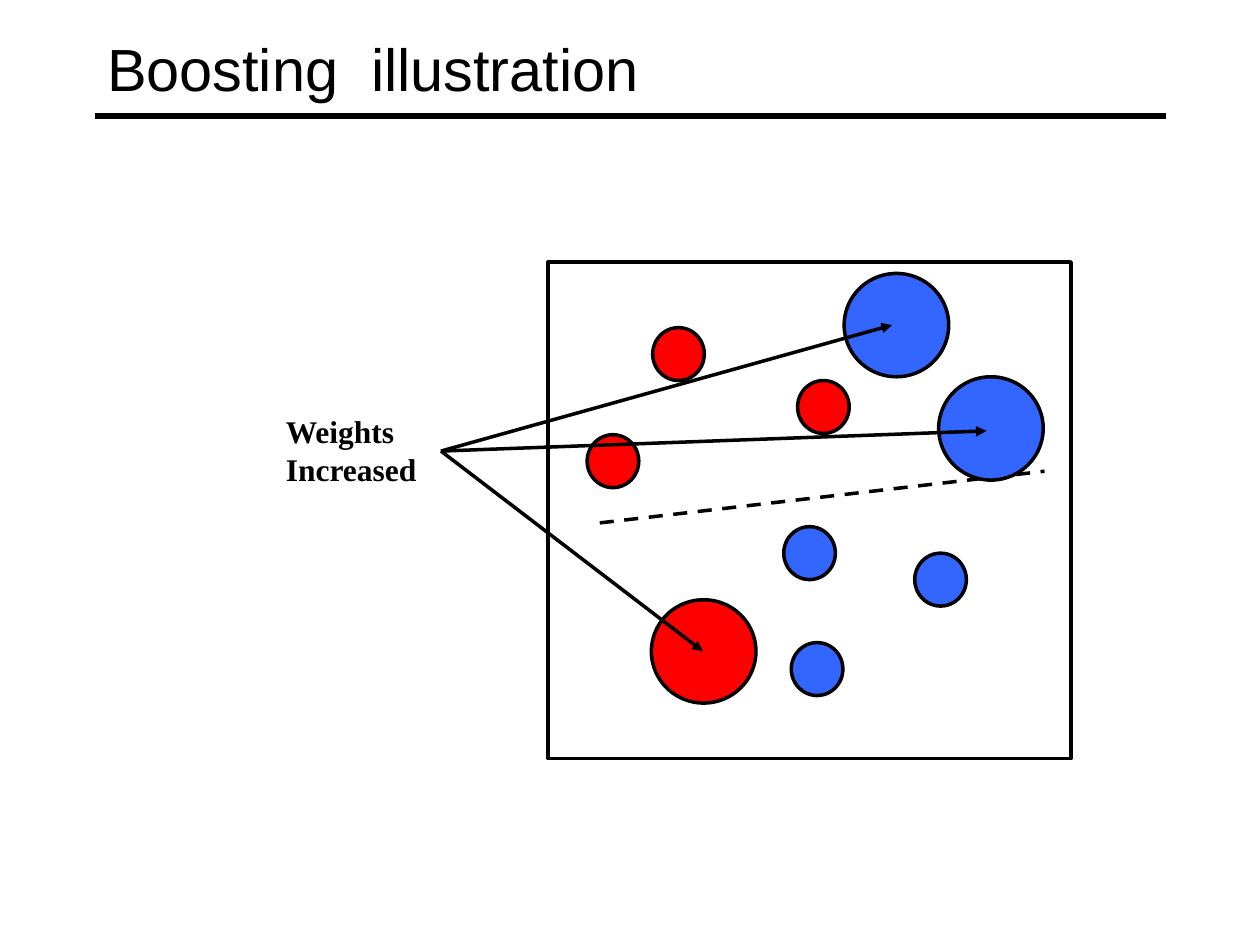
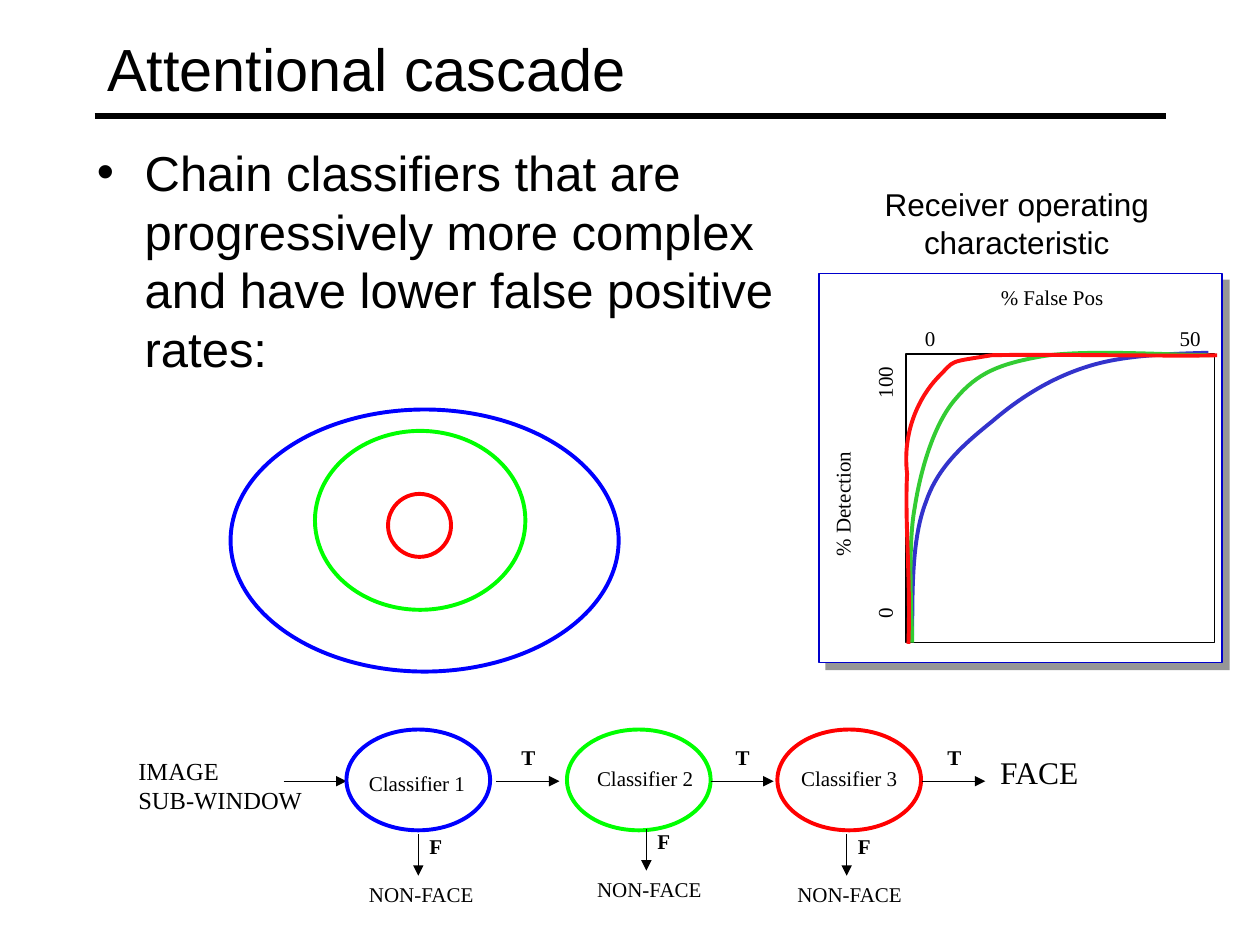
from dataclasses import dataclass

from lxml import etree
from pptx import Presentation
from pptx import util as u
from pptx.dml.color import RGBColor
from pptx.enum import dml, shapes, text
from pptx.oxml import ns


@dataclass(frozen=True)
class Theme:
    """Colours, fonts and type sizes of the deck."""

    ink: str = "000000"
    paper: str = "FFFFFF"
    shade: str = "969696"
    frame: str = "0000CC"
    red: str = "FF0000"
    sky: str = "3366FF"
    blue: str = "0000FF"
    green: str = "00FF00"
    roc: tuple = ("3333CC", "33CC33", "FF0F0F")
    sans: str = "Arial"
    serif: str = "Times New Roman"
    title: int = 34
    body: int = 28
    note: int = 18
    input: int = 14
    label: int = 12
    thin: float = 0.75
    mid: float = 2
    bold: float = 2.25
    rule: float = 3


T = Theme()
OVAL = shapes.MSO_SHAPE.OVAL
RECT = shapes.MSO_SHAPE.RECTANGLE
LEFT, MID = text.PP_ALIGN.LEFT, text.PP_ALIGN.CENTER


def inch(*vals):
    """Turn numbers into lengths."""
    return [u.Inches(v) for v in vals]


def add(node, tag, **attrs):
    """Append a drawing element and return it."""
    return etree.SubElement(node, ns.qn("a:" + tag), **attrs)


def write(box, words, size=T.label, font=T.serif, bold=False, align=LEFT,
          wrap=False, pad=True, bullet=False, tab=None):
    """Fill a text shape with formatted paragraphs."""
    tf = box.text_frame
    tf.word_wrap = wrap
    tf.auto_size = text.MSO_AUTO_SIZE.NONE
    if not pad:
        tf.margin_left = tf.margin_right = tf.margin_top = tf.margin_bottom = 0
    tf.text = words
    for para in tf.paragraphs:
        para.alignment = align
        for run in para.runs:
            run.font.size = u.Pt(size)
            run.font.name = font
            run.font.bold = bold
            run.font.color.rgb = RGBColor.from_string(T.ink)
        props = para._p.get_or_add_pPr()
        if bullet:
            para.space_before = u.Pt(7)
            props.set("marL", str(u.Inches(0.38)))
            props.set("indent", str(u.Inches(-0.38)))
            add(props, "buFont", typeface=font)
            add(props, "buChar", char="•")
        if tab:
            add(add(props, "tabLst"), "tab", pos=str(u.Inches(tab)), algn="l")


def say(sl, words, x, y, w, h, turn=0, **form):
    """Add a text box."""
    box = sl.shapes.add_textbox(*inch(x, y, w, h))
    box.rotation = turn
    write(box, words, **form)


def paint(item, fill=None, line=None, width=T.mid):
    """Set fill and outline, and drop the shadow."""
    item.shadow.inherit = False
    if fill:
        item.fill.solid()
        item.fill.fore_color.rgb = RGBColor.from_string(fill)
    else:
        item.fill.background()
    if line:
        item.line.color.rgb = RGBColor.from_string(line)
        item.line.width = u.Pt(width)
    else:
        item.line.fill.background()


def draw(sl, kind, x, y, w, h, **form):
    """Add a painted preset shape."""
    paint(sl.shapes.add_shape(kind, *inch(x, y, w, h)), **form)


def link(sl, x, y, to_x, to_y, width=T.thin, arrow=True, dash=False):
    """Add a straight line or arrow and return it."""
    con = sl.shapes.add_connector(
        shapes.MSO_CONNECTOR.STRAIGHT, *inch(x, y, to_x, to_y))
    con.line.color.rgb = RGBColor.from_string(T.ink)
    con.line.width = u.Pt(width)
    if dash:
        con.line.dash_style = dml.MSO_LINE.DASH
    if arrow:
        add(con.line._get_or_add_ln(), "tailEnd", type="triangle")
    add(con._element.spPr, "effectLst")
    return con


def curve(sl, x, y, dots, color):
    """Draw joined cubic curves through their control points."""
    trail = [inch(x + dx, y + dy) for dx, dy in dots]
    pen = sl.shapes.build_freeform(*trail[0])
    pen.add_line_segments(trail[1:], close=False)
    item = pen.convert_to_shape()
    legs = list(item._element.iter(ns.qn("a:lnTo")))
    for i in range(0, len(legs), 3):
        bend = etree.Element(ns.qn("a:cubicBezTo"))
        legs[i].addprevious(bend)
        for leg in legs[i:i + 3]:
            bend.append(leg[0])
            leg.getparent().remove(leg)
    paint(item, line=color, width=T.bold)


def rule(sl):
    """Put the title rule on the layout that the slides share."""
    con = link(sl, 0.75, 0.92, 9.25, 0.92, width=T.rule, arrow=False)
    sl.slide_layout.shapes._spTree.append(con._element)


def page(deck, title):
    """Start a slide with its title."""
    sl = deck.slides.add_slide(deck.slide_layouts[5])
    head = sl.shapes.title
    head.left, head.top, head.width, head.height = inch(0.75, 0.08, 8.5, 0.92)
    write(head, title, size=T.title, font=T.sans, wrap=True)
    head.text_frame.vertical_anchor = text.MSO_ANCHOR.MIDDLE
    return sl


def sample(sl, x, y, w, h):
    """Draw the weighted points and the split line in their square."""
    small, large = (0.41, 0.42), (0.83, 0.82)
    dots = [
        (0.83, 0.52, small, T.red), (2.35, 0.09, large, T.sky),
        (2.91, 2.31, small, T.sky), (1.87, 2.1, small, T.sky),
        (1.93, 3.02, small, T.sky), (1.98, 0.94, small, T.red),
        (0.31, 1.37, small, T.red), (0.82, 2.68, large, T.red),
    ]
    link(sl, x + 0.41, y + 2.07, x + 3.94, y + 1.66, T.mid, False, True)
    for dx, dy, size, color in dots + [(3.1, 0.91, large, T.sky)]:
        draw(sl, OVAL, x + dx, y + dy, *size, fill=color, line=T.ink)
    draw(sl, RECT, x, y, w, h, line=T.ink)


def weights(sl, x, y):
    """Label the heavier points and point at each."""
    say(sl, "Weights\nIncreased", x, y, 1.24, 0.7, size=T.note, bold=True)
    for dx, dy in ((4.91, -0.64), (3.41, 1.95), (5.66, 0.2)):
        link(sl, x + 1.33, y + 0.36, x + dx, y + dy, width=T.mid)


def roc(sl, x, y, w, h):
    """Draw the receiver operating characteristic panel."""
    say(sl, "Receiver operating characteristic", x - 0.02, y - 0.75, 3.18, 0.7,
        size=T.note, font=T.sans, align=MID, wrap=True)
    draw(sl, RECT, x + 0.05, y + 0.05, w + 0.01, h + 0.01, fill=T.shade)
    draw(sl, RECT, x, y, w, h, fill=T.paper, line=T.frame, width=T.thin)
    draw(sl, RECT, x + 0.69, y + 0.64, 2.45, 2.29, line=T.ink, width=T.thin)
    draw(sl, RECT, x + 1.61, y + 1.43, 0.13, 0.32, fill=T.paper)
    marks = [
        ("% False Pos", 1.44, 0.09, 0.82, 0, MID),
        ("% Detection", -0.23, 1.73, 0.83, 270, MID),
        ("0", 0.84, 0.41, 1.71, 0, LEFT),
        ("50", 2.84, 0.41, 0.21, 0, MID),
        ("0\t100", -0.48, 1.64, 2, 270, LEFT),
    ]
    for words, dx, dy, wide, turn, align in marks:
        say(sl, words, x + dx, y + dy, wide, 0.2, turn, align=align,
            pad=False, wrap=align == LEFT, tab=1.75 if "\t" in words else None)
    trails = [
        [(0.74, 2.87), (0.74, 2.48), (0.74, 2.09), (0.85, 1.81),
         (0.95, 1.52), (1.17, 1.34), (1.38, 1.17),
         (1.59, 0.99), (1.84, 0.83), (2.13, 0.74),
         (2.41, 0.65), (2.75, 0.64), (3.09, 0.63)],
        [(0.74, 2.93), (0.74, 2.75), (0.7, 2.18), (0.76, 1.86),
         (0.81, 1.54), (0.92, 1.18), (1.09, 0.99),
         (1.26, 0.79), (1.43, 0.72), (1.76, 0.66),
         (2.1, 0.6), (2.82, 0.65), (3.1, 0.65)],
        [(0.71, 2.94), (0.73, 2.44), (0.68, 1.97), (0.7, 1.59),
         (0.66, 1.25), (0.8, 0.98), (0.94, 0.83),
         (1.09, 0.68), (1.01, 0.71), (1.37, 0.65),
         (1.76, 0.64), (2.9, 0.66), (3.16, 0.65)],
    ]
    for dots, color in zip(trails, T.roc):
        curve(sl, x, y, dots, color)


def rings(sl, x, y):
    """Draw the nested regions the classifiers accept."""
    for dx, dy, w, h, color in (
            (1.25, 0.67, 0.5, 0.5, T.red), (0.67, 0.17, 1.67, 1.42, T.green),
            (0, 0, 3.08, 2.08, T.blue)):
        draw(sl, OVAL, x + dx, y + dy, w, h, line=color, width=T.bold)


def stage(sl, x, y, name, color, tag, out, drop):
    """Draw one classifier with its true and false exits."""
    draw(sl, OVAL, x, y, 1.14, 0.8, line=color, width=T.bold)
    say(sl, name, x + tag[0], y + tag[1], 0.96, 0.3)
    link(sl, x + out, y + 0.41, x + out + 0.5, y + 0.41)
    say(sl, "T", x + out + 0.1, y + 0.07, 0.31, 0.3, bold=True)
    fx, fy = x + drop[0], y + drop[1]
    link(sl, fx, fy, fx, fy + 0.33)
    say(sl, "F", fx - 0.01, fy - 0.05, 0.3, 0.3, bold=True)
    say(sl, "NON-FACE", fx - 0.49, fy + 0.33, 1.04, 0.3)


def cascade(sl, x, y):
    """Lay out the chain from sub-window to face."""
    say(sl, "IMAGE\nSUB-WINDOW", x, y + 0.16, 1.5, 0.57, size=T.input)
    link(sl, x + 1.25, y + 0.41, x + 1.75, y + 0.41)
    stage(sl, x + 1.75, y, "Classifier 1", T.blue,
          (0.08, 0.28), 1.19, (0.57, 0.83))
    stage(sl, x + 3.5, y, "Classifier 2", T.green,
          (0.14, 0.24), 1.14, (0.63, 0.79))
    stage(sl, x + 5.17, y, "Classifier 3", T.red,
          (0.09, 0.24), 1.15, (0.55, 0.83))
    say(sl, "FACE", x + 6.84, y + 0.14, 0.84, 0.4, size=T.note)


def main():
    """Build and save the deck."""
    deck = Presentation()
    deck.slide_width, deck.slide_height = inch(10, 7.5)
    boost = page(deck, "Boosting  illustration")
    rule(boost)
    sample(boost, 4.35, 2.08, 4.15, 3.94)
    weights(boost, 2.17, 3.22)
    chain = page(deck, "Attentional cascade")
    say(chain, "Chain classifiers that are progressively more complex and "
        "have lower false positive rates:", 0.67, 1.08, 6.08, 2.25,
        size=T.body, font=T.sans, wrap=True, bullet=True)
    roc(chain, 6.5, 2.17, 3.2, 3.09)
    rings(chain, 1.83, 3.25)
    cascade(chain, 1, 5.79)
    deck.save("out.pptx")


if __name__ == "__main__":
    main()
